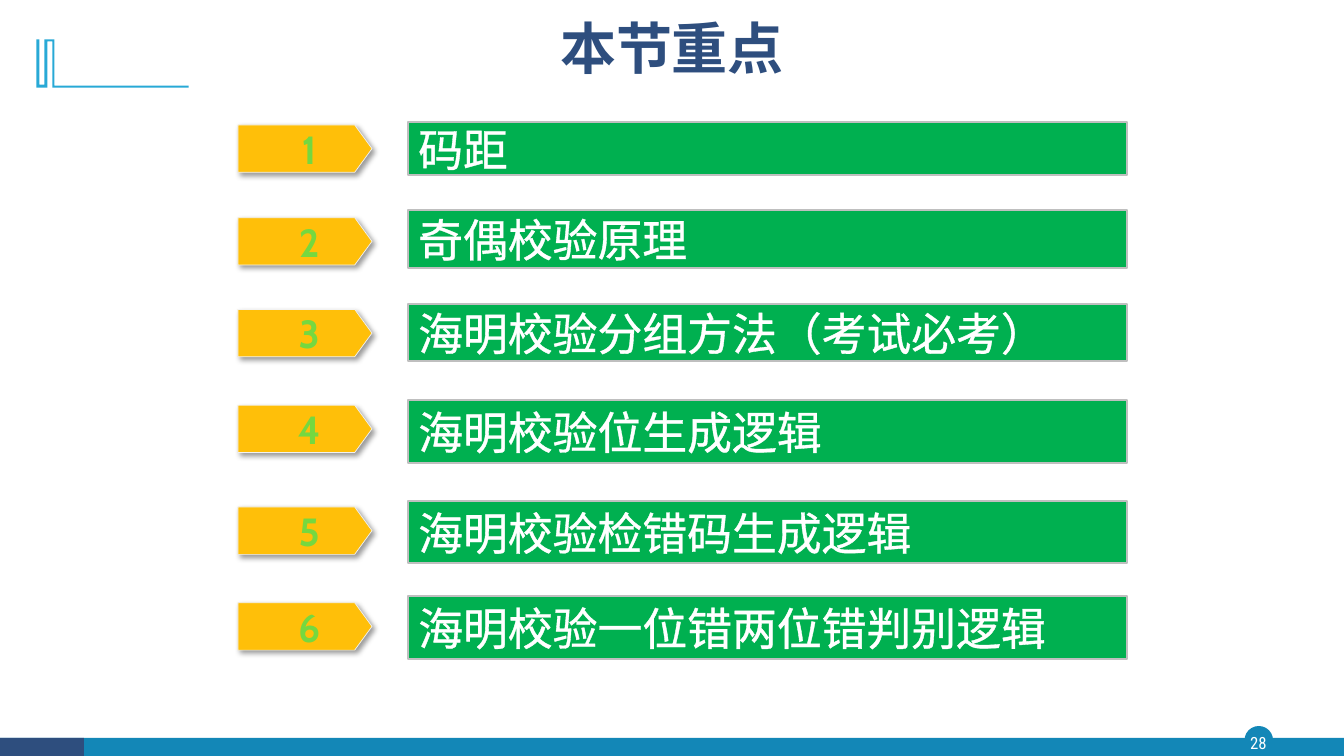
from pptx import Presentation
from pptx.dml.color import RGBColor
from pptx.enum.shapes import MSO_SHAPE as SHAPE
from pptx.enum.text import MSO_ANCHOR as ANCHOR, PP_ALIGN as ALIGN
from pptx.oxml import parse_xml
from pptx.oxml.ns import nsdecls
from pptx.util import Inches, Pt

WHITE = RGBColor(0xFF, 0xFF, 0xFF)
NAVY = RGBColor(0x2E, 0x4E, 0x7E)
BLUE = RGBColor(0x13, 0x87, 0xB7)
SKY = RGBColor(0x28, 0xA9, 0xD6)
AMBER = RGBColor(0xFF, 0xBF, 0x09)
GREEN = RGBColor(0x00, 0xB0, 0x50)
SILVER = RGBColor(0xBF, 0xBF, 0xBF)
PALE = RGBColor(0xF2, 0xF2, 0xF2)
DIGIT_STOPS = (
    (0, RGBColor(0x33, 0x6F, 0x0A)),
    (78, RGBColor(0x75, 0xD8, 0x40)),
    (100, RGBColor(0xF2, 0xFB, 0xEE)),
)

HAN, DIGIT, NARROW = "Noto Sans CJK SC", "Cabin", "Roboto Condensed"
WIDTH, HEIGHT = 13.33, 7.5
PLATE_WIDTH, PLATE_HEIGHT = 1.33, 0.47
BAR_OFFSET, BAR_WIDTH = 1.69, 7.13

# topic, bar top, bar height, number plate top
TOPICS = (
    ("码距", 1.21, 0.53, 1.24),
    ("奇偶校验原理", 2.08, 0.58, 2.16),
    ("海明校验分组方法（考试必考）", 3.02, 0.56, 3.07),
    ("海明校验位生成逻辑", 3.97, 0.62, 4.02),
    ("海明校验检错码生成逻辑", 4.97, 0.62, 5.03),
    ("海明校验一位错两位错判别逻辑", 5.91, 0.63, 5.98),
)
# corner ornament outline, in hundredths of an inch
CORNER = ((18, 0), (18, 46), (151, 46), (151, 48), (16, 48), (16, 2), (11, 2),
          (11, 48), (0, 48), (0, 0), (3, 0), (3, 45), (8, 45), (8, 0))


def paint(shape, fill, line=None, line_width=1):
    shape.shadow.inherit = False
    shape.fill.solid()
    shape.fill.fore_color.rgb = fill
    if line is None:
        shape.line.fill.background()
    else:
        shape.line.color.rgb = line
        shape.line.width = Pt(line_width)


def add_block(slide, kind, box, fill, line=None, line_width=1):
    block = slide.shapes.add_shape(kind, *map(Inches, box))
    paint(block, fill, line, line_width)
    return block


def write(frame, text, font_name, size, align, color=None, bold=False):
    """Fill the frame with one middle-anchored line and return its run properties."""
    frame.text = text
    frame.word_wrap = True
    frame.vertical_anchor = ANCHOR.MIDDLE
    paragraph = frame.paragraphs[0]
    paragraph.alignment = align
    font = paragraph.runs[0].font
    font.name, font.size, font.bold = font_name, Pt(size), bold
    if color is not None:
        font.color.rgb = color
    properties = paragraph.runs[0]._r.get_or_add_rPr()
    properties.find("{*}latin").addnext(
        parse_xml(f'<a:ea {nsdecls("a")} typeface="{font_name}"/>'))
    return properties


def clear_margins(frame):
    frame.margin_left = frame.margin_right = 0
    frame.margin_top = frame.margin_bottom = 0


def drop_shadow(shape):
    shape._element.spPr.find("{*}effectLst").append(parse_xml(
        f'<a:outerShdw {nsdecls("a")} blurRad="{Pt(4)}" dist="{Pt(3)}" '
        'dir="2700000" algn="tl" rotWithShape="0">'
        '<a:srgbClr val="000000"><a:alpha val="40000"/></a:srgbClr></a:outerShdw>'))


def add_corner(slide, left, top):
    outline = slide.shapes.build_freeform(*CORNER[0], scale=Inches(0.01))
    outline.add_line_segments(CORNER[1:], close=True)
    paint(outline.convert_to_shape(Inches(left), Inches(top)), SKY)


def add_footer(slide, top, number):
    depth = HEIGHT - top
    add_block(slide, SHAPE.OVAL, (12.35, top - 0.11, 0.27, 0.27), BLUE, BLUE)
    add_block(slide, SHAPE.RECTANGLE, (0, top, WIDTH, depth), BLUE)
    add_block(slide, SHAPE.RECTANGLE, (0, top, WIDTH / 16, depth), NAVY)
    page = slide.shapes.add_textbox(*map(Inches, (12.32, top - 0.11, 0.32, 0.31)))
    clear_margins(page.text_frame)
    write(page.text_frame, number, NARROW, 12, ALIGN.CENTER, WHITE)


def add_title(slide, text, box):
    title = slide.shapes.title
    title.left, title.top, title.width, title.height = map(Inches, box)
    write(title.text_frame, text, HAN, 40, ALIGN.CENTER, NAVY, bold=True)
    title.text_frame.paragraphs[0].line_spacing = 0.9


def add_number_plate(slide, number, box):
    plate = add_block(slide, SHAPE.PENTAGON, box, AMBER, PALE, 0.5)
    plate.adjustments[0] = 0.365
    drop_shadow(plate)
    clear_margins(plate.text_frame)
    plate.text_frame.margin_left = Inches(0.17)
    properties = write(plate.text_frame, number, DIGIT, 28, ALIGN.CENTER, bold=True)
    stops = "".join(f'<a:gs pos="{share * 1000}"><a:srgbClr val="{color}"/></a:gs>'
                    for share, color in DIGIT_STOPS)
    properties.insert(0, parse_xml(
        f'<a:gradFill {nsdecls("a")}><a:gsLst>{stops}</a:gsLst>'
        '<a:lin ang="5400000" scaled="0"/></a:gradFill>'))


def add_topic_bar(slide, topic, box):
    bar = add_block(slide, SHAPE.RECTANGLE, box, GREEN, SILVER, 1.5)
    properties = write(bar.text_frame, topic, HAN, 32, ALIGN.LEFT, WHITE)
    properties.insert(0, parse_xml(
        f'<a:ln {nsdecls("a")} w="{Pt(0.75)}"><a:solidFill>'
        f'<a:srgbClr val="{WHITE}"/></a:solidFill></a:ln>'))


def add_topics(slide, left):
    for number, (topic, top, height, plate_top) in enumerate(TOPICS, 1):
        add_number_plate(slide, str(number),
                         (left, plate_top, PLATE_WIDTH, PLATE_HEIGHT))
        add_topic_bar(slide, topic, (left + BAR_OFFSET, top, BAR_WIDTH, height))


def main():
    deck = Presentation()
    deck.slide_width, deck.slide_height = Inches(WIDTH), Inches(HEIGHT)
    slide = deck.slides.add_slide(deck.slide_layouts.get_by_name("Title Only"))
    add_footer(slide, 7.32, "28")
    add_corner(slide, 0.36, 0.39)
    add_title(slide, "本节重点", (3.1, 0.09, 7.13, 0.83))
    add_topics(slide, 2.36)
    deck.save("out.pptx")


if __name__ == "__main__":
    main()
